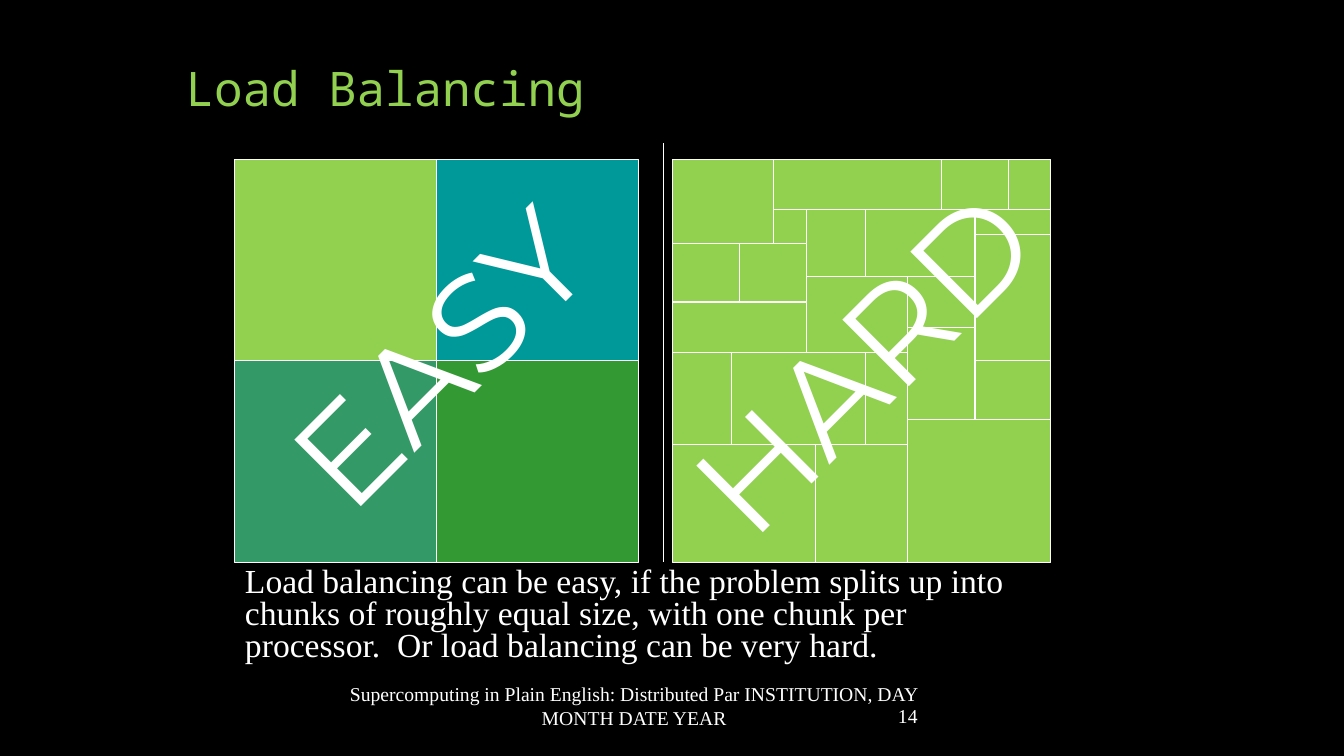
"""Build the Load Balancing slide with its easy and hard partitions."""
from lxml.etree import SubElement
from pptx import Presentation
from pptx.dml.color import RGBColor
from pptx.enum.shapes import MSO_CONNECTOR as Connector, MSO_SHAPE as Shape
from pptx.enum.text import MSO_ANCHOR as Anchor, MSO_AUTO_SIZE as AutoSize, PP_ALIGN as Align
from pptx.oxml.ns import qn
from pptx.util import Inches, Pt

WHITE = "FFFFFF"
LIME = "92D050"
SERIF = "Times New Roman"


def write(box, place, text, font, size, color=WHITE, align=Align.LEFT, anchor=Anchor.TOP, spacing=1.0):
    """Place a text holder and fill it with one formatted run."""
    box.left, box.top, box.width, box.height = [Inches(length) for length in place]
    frame = box.text_frame
    frame.word_wrap = True
    frame.auto_size = AutoSize.NONE
    frame.vertical_anchor = anchor
    para = frame.paragraphs[0]
    para.alignment = align
    para.line_spacing = spacing
    para.space_before = Pt(0)
    span = para.add_run()
    span.text = text
    span.font.name = font
    span.font.size = Pt(size)
    span.font.color.rgb = RGBColor.from_string(color)
    return para


def add_block(left, top, width, height, color):
    """Draw one chunk of a partitioned domain."""
    block = page.shapes.add_shape(Shape.RECTANGLE, Inches(left), Inches(top), Inches(width), Inches(height))
    block.shadow.inherit = False
    block.fill.solid()
    block.fill.fore_color.rgb = RGBColor.from_string(color)
    block.line.color.rgb = RGBColor.from_string(WHITE)
    block.line.width = Pt(0.75)


deck = Presentation()
deck.slide_width = Inches(13.33)
deck.slide_height = Inches(7.5)
page = deck.slides.add_slide(deck.slide_layouts[1])
page.background.fill.solid()
page.background.fill.fore_color.rgb = RGBColor.from_string("000000")

write(page.shapes.title, (1.74, 0.32, 9.93, 0.89), "Load Balancing", "Noto Sans Mono", 34,
      color=LIME, anchor=Anchor.BOTTOM, spacing=0.9)

summary = write(page.placeholders[1], (2.33, 5.58, 8.17, 1.07),
                "Load balancing can be easy, if the problem splits up into chunks of roughly equal size, "
                "with one chunk per processor.  Or load balancing can be very hard.",
                SERIF, 24, spacing=0.8)
properties = summary._p.get_or_add_pPr()
properties.set("marL", "0")
properties.set("indent", "0")
SubElement(properties, qn("a:buNone"))

easy_colors = [LIME, "009999", "339966", "339933"]
for index, color in enumerate(easy_colors):
    row, column = divmod(index, 2)
    add_block(2.33 + 2 * column, 1.58 + 2 * row, 2, 2, color)

divider = page.shapes.add_connector(Connector.STRAIGHT, Inches(6.58), Inches(1.42), Inches(6.58), Inches(5.58))
divider.line.color.rgb = RGBColor.from_string(WHITE)
divider.line.width = Pt(0.75)
SubElement(divider._element.spPr, qn("a:effectLst"))

cells_per_inch = 12
hard_cells = [
    (0, 0, 12, 10), (12, 0, 20, 6), (32, 0, 8, 6), (40, 0, 5, 6),
    (12, 6, 4, 4), (16, 6, 7, 8), (23, 6, 13, 8), (36, 6, 9, 3),
    (36, 9, 9, 15), (0, 10, 8, 7), (8, 10, 8, 7), (16, 14, 12, 9),
    (28, 14, 8, 6), (0, 17, 16, 6), (28, 20, 8, 11), (0, 23, 7, 11),
    (7, 23, 16, 11), (23, 23, 5, 11), (36, 24, 9, 7), (28, 31, 17, 17),
    (0, 34, 17, 14), (17, 34, 11, 14),
]
for column, row, columns, rows in hard_cells:
    add_block(6.67 + column / cells_per_inch, 1.58 + row / cells_per_inch,
              columns / cells_per_inch, rows / cells_per_inch, LIME)

verdicts = [("EASY", (2.17, 2.67, 4.33, 1.7)), ("HARD", (6.32, 2.71, 4.44, 1.7))]
for verdict, place in verdicts:
    box = page.shapes.add_textbox(0, 0, 0, 0)
    write(box, place, verdict, "Montserrat", 96, align=Align.CENTER)
    box.rotation = 315

footers = [
    ("Supercomputing in Plain English: Distributed Par INSTITUTION, DAY MONTH DATE YEAR",
     (3.25, 6.75, 6.08, 0.5), Align.CENTER),
    ("14", (1.67, 6.96, 7.53, 0.28), Align.RIGHT),
]
for text, place, align in footers:
    write(page.shapes.add_textbox(0, 0, 0, 0), place, text, SERIF, 14, align=align, anchor=Anchor.MIDDLE)

deck.save("out.pptx")
